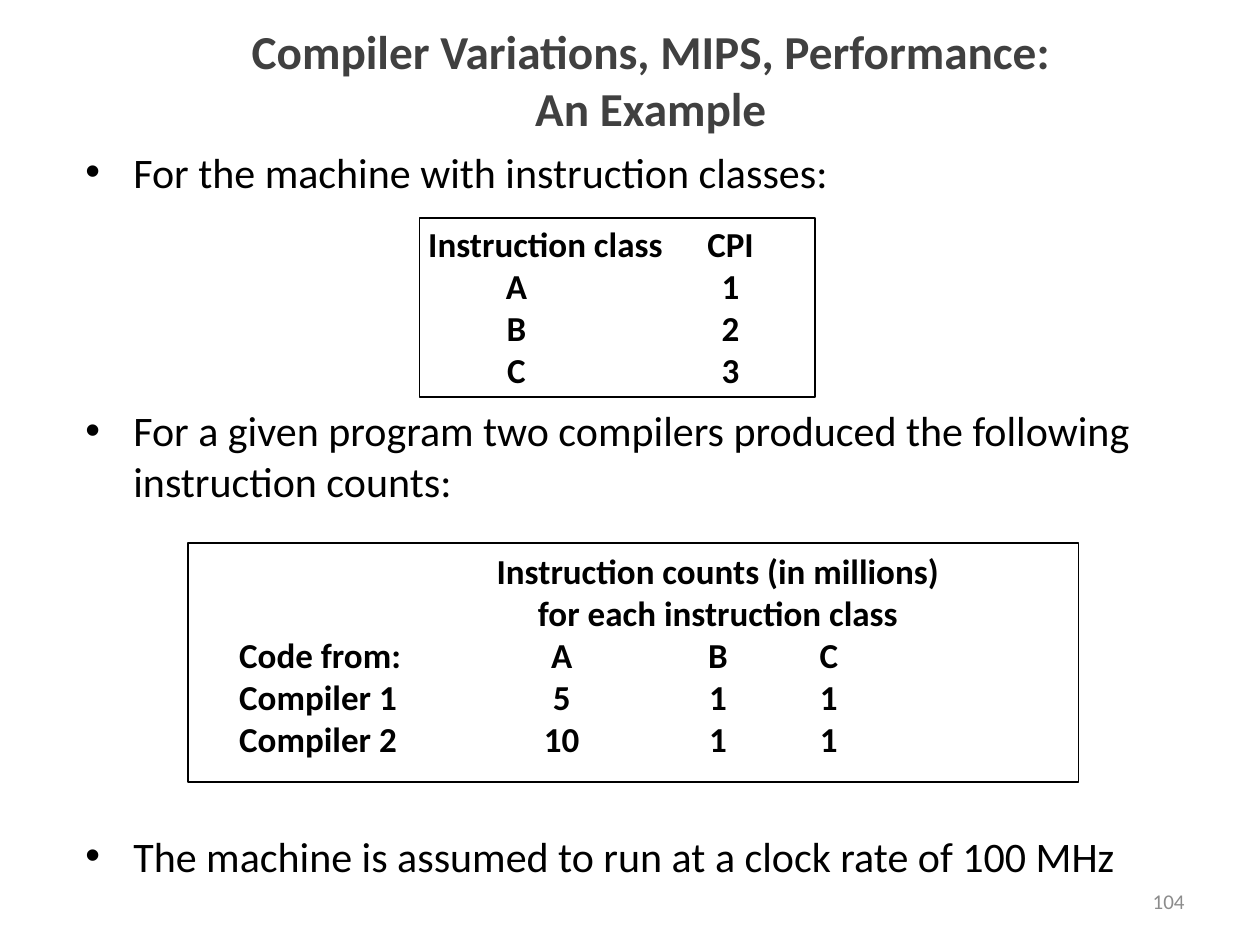
from pptx import Presentation
from pptx.dml.color import RGBColor
from pptx.enum import shapes, text
from pptx.oxml import ns
from pptx.util import Inches, Pt
from lxml import etree

COLORS = {"title": "404040", "ink": "000000", "number": "8C8C8C"}
FONT = "Calibri"

TITLE = ["Compiler Variations, MIPS, Performance:", "An Example"]
# Each bullet with the space before it in points; the gaps leave room for the panels.
BULLETS = [
    ("For the machine with instruction classes:", 0),
    ("For a given program two compilers produced the following "
     "instruction counts:", 119),
    ("The machine is assumed to run at a clock rate of 100 MHz", 185.5),
]
# Rows pair their cells with the centres of the columns after the first.
CPI_STOPS = [0.7, 2.4]
COUNT_STOPS = [2.56, 3.8, 4.68]
HEADING_STOPS = [3.8]
PANELS = [
    {"frame": (3.33, 1.73, 3.14, 1.42), "text": (3.3, 1.72, 3.12, 1.43),
     "rows": [(["Instruction class", "CPI"], CPI_STOPS[1:]),
              (["", "A", "1"], CPI_STOPS),
              (["", "B", "2"], CPI_STOPS),
              (["", "C", "3"], CPI_STOPS)]},
    {"frame": (1.49, 4.31, 7.07, 1.9), "text": (1.8, 4.31, 6.23, 1.77),
     "rows": [(["", "Instruction counts (in millions)"], HEADING_STOPS),
              (["", "for each instruction class"], HEADING_STOPS),
              (["Code from:", "A", "B", "C"], COUNT_STOPS),
              (["Compiler 1", "5", "1", "1"], COUNT_STOPS),
              (["Compiler 2", "10", "1", "1"], COUNT_STOPS)]},
]


def inches(area):
    return [Inches(length) for length in area]


def add_box(page, area, anchor=text.MSO_ANCHOR.TOP, wrap=True):
    frame = page.shapes.add_textbox(*inches(area)).text_frame
    frame.word_wrap = wrap
    frame.vertical_anchor = anchor
    return frame


def next_para(frame):
    """Return the empty first paragraph, or a new one after it."""
    first = frame.paragraphs[0]
    return frame.add_paragraph() if first.runs else first


def add_span(para, words, size, color, bold=False):
    span = para.add_run()
    span.text = words
    span.font.name = FONT
    span.font.size = Pt(size)
    span.font.bold = bold
    span.font.color.rgb = RGBColor.from_string(COLORS[color])


def add_bullet(para):
    props = para._p.get_or_add_pPr()
    props.set("marL", str(Inches(0.38)))
    props.set("indent", str(-Inches(0.38)))
    etree.SubElement(props, ns.qn("a:buFont"), typeface="Arial")
    etree.SubElement(props, ns.qn("a:buChar"), char="•")


def add_centre_tabs(para, stops):
    tabs = etree.SubElement(para._p.get_or_add_pPr(), ns.qn("a:tabLst"))
    for stop in stops:
        etree.SubElement(tabs, ns.qn("a:tab"), pos=str(Inches(stop)), algn="ctr")


def add_panel(page, panel):
    frame = add_box(page, panel["text"], wrap=False)
    for cells, stops in panel["rows"]:
        para = next_para(frame)
        add_centre_tabs(para, stops)
        add_span(para, "\t".join(cells), 20, "ink", bold=True)
    border = page.shapes.add_shape(shapes.MSO_SHAPE.RECTANGLE, *inches(panel["frame"]))
    border.shadow.inherit = False
    border.fill.background()
    border.line.color.rgb = RGBColor.from_string(COLORS["ink"])
    border.line.width = Pt(1)


def main():
    deck = Presentation()
    deck.slide_width, deck.slide_height = Inches(10), Inches(7.5)
    page = deck.slides.add_slide(deck.slide_layouts[6])

    title = add_box(page, (0.75, 0.25, 8.83, 0.75), text.MSO_ANCHOR.MIDDLE)
    for line in TITLE:
        para = next_para(title)
        para.alignment = text.PP_ALIGN.CENTER
        add_span(para, line, 27, "title", bold=True)

    body = add_box(page, (0.58, 1.11, 8.92, 5.75))
    for words, gap in BULLETS:
        para = next_para(body)
        para.space_before = Pt(gap)
        add_bullet(para)
        add_span(para, words, 24, "ink")

    for panel in PANELS:
        add_panel(page, panel)

    number = add_box(page, (7.17, 6.95, 2.33, 0.4), text.MSO_ANCHOR.MIDDLE)
    number.paragraphs[0].alignment = text.PP_ALIGN.RIGHT
    add_span(number.paragraphs[0], "104", 12, "number")

    deck.save("out.pptx")


if __name__ == "__main__":
    main()
